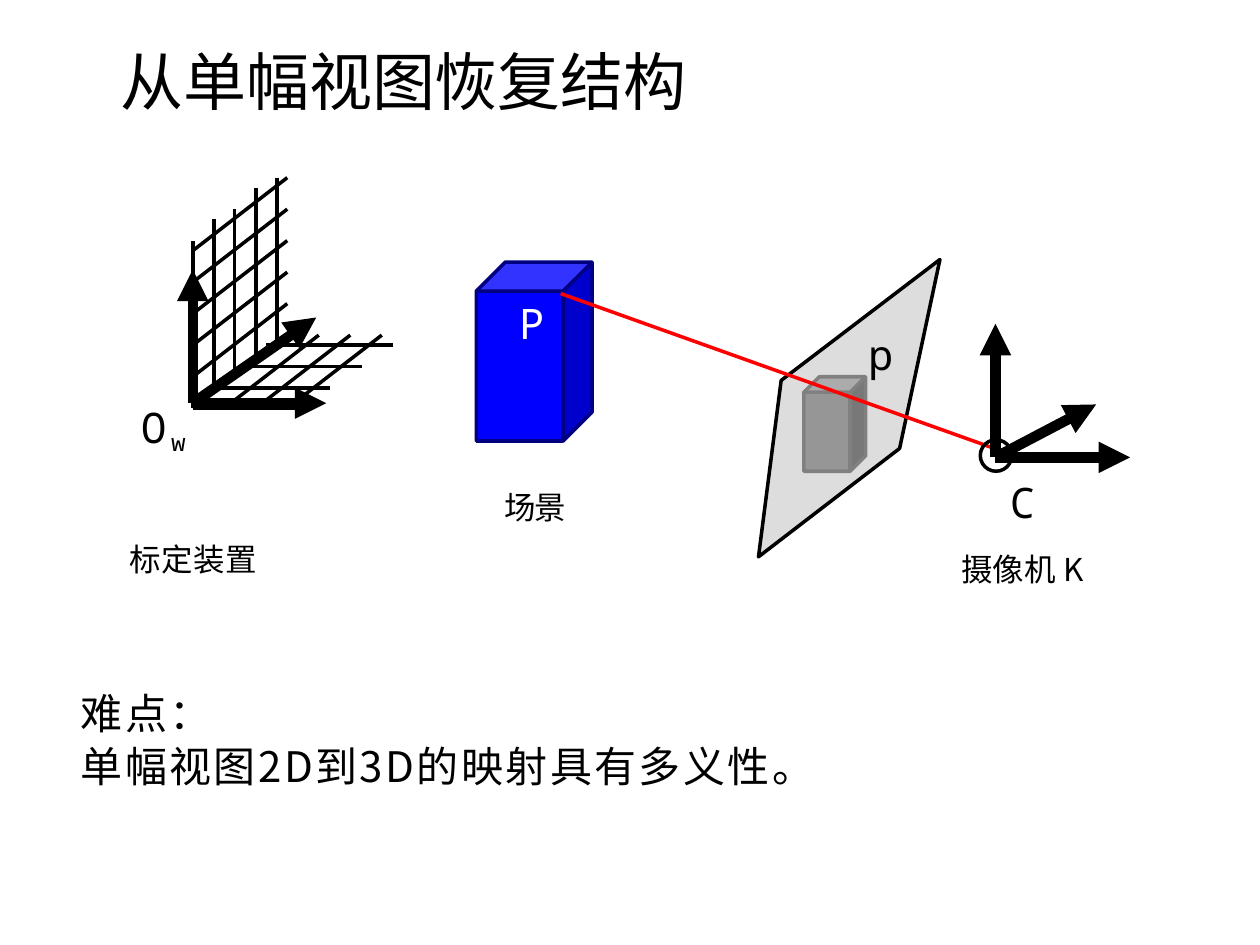
"""Build a slide on recovering structure from a single view."""
from dataclasses import dataclass

import pptx
import pptx.util
import pptx.dml.color
import pptx.enum.shapes
import pptx.enum.text
import pptx.oxml.ns
from lxml import etree

RGBColor = pptx.dml.color.RGBColor
Inches = pptx.util.Inches
Pt = pptx.util.Pt
Align = pptx.enum.text.PP_ALIGN
Shape = pptx.enum.shapes.MSO_SHAPE
qn = pptx.oxml.ns.qn

BLACK = RGBColor(0, 0, 0)
WHITE = RGBColor(255, 255, 255)
RED = RGBColor(255, 0, 0)
BLUE = RGBColor(0, 0, 255)
NAVY = RGBColor(0, 0, 128)
SILVER = RGBColor(192, 192, 192)
GRAY = RGBColor(150, 150, 150)
SLATE = RGBColor(128, 128, 128)
HAN = "Noto Sans CJK SC"
MONO = "Noto Sans Mono"

Point = tuple[float, float]


@dataclass
class Run:
    text: str
    size: float = 24
    face: str = HAN
    color: RGBColor = BLACK
    track: float = 0
    base: int = 0


@dataclass
class Para:
    runs: list[Run]
    align: Align = Align.LEFT
    before: float = 0


@dataclass
class Label:
    box: tuple[float, float, float, float]
    paras: list[Para]
    top: float = 0.01


@dataclass
class Cube:
    box: tuple[float, float, float, float]
    fill: RGBColor
    edge: RGBColor


@dataclass
class Axes:
    start: Point
    ends: list[Point]


TITLE = Label((0.96, 0.33, 7.91, 0.62),
              [Para([Run("从单幅视图恢复结构", 36, track=-0.1)])])
LABELS = [
    Label((0.64, 5.45, 8.72, 0.84), [
        Para([Run("难点：", track=1.4)]),
        Para([Run("单幅视图2D到3D的映射具有多义性。", track=1.4)], before=1)]),
    Label((1.12, 3.18, 0.5, 0.43), [
        Para([Run("O", face=MONO, track=2.8),
              Run("w", face=MONO, track=1.1, base=-19000)])]),
    Label((4.12, 2.35, 0.21, 0.43),
          [Para([Run("P", face=MONO, color=WHITE, track=-3)])]),
    Label((6.89, 2.6, 0.23, 0.43),
          [Para([Run("p", face=MONO, track=1)])]),
    Label((1.03, 3.74, 3.46, 0.85), [
        Para([Run("场景", 18, track=-1)], Align.RIGHT),
        Para([Run("标定装置", 18, track=0.3)], before=8.4)], 0.13),
    Label((7.53, 3.77, 1.17, 0.91), [
        Para([Run("C", face=MONO, track=-0.6)], Align.CENTER),
        Para([Run("摄像机 ", 18, track=0.1), Run("K", 18, track=-0.1)],
             Align.CENTER, 13.5)]),
]
PLANE = [(7.46, 2.06), (6.2, 3.02), (6.02, 4.42), (7.14, 3.56)]
CUBES = [Cube((3.78, 2.08, 0.92, 1.42), BLUE, NAVY),
         Cube((6.38, 2.99, 0.49, 0.75), GRAY, SLATE)]
AXES = [Axes((7.9, 3.63), [(7.9, 2.57), (8.7, 3.21), (8.97, 3.63)]),
        Axes((1.53, 3.2), [(1.53, 2.14), (2.51, 2.52), (2.59, 3.2)])]
POSTS = [(1.53, 1.91), (1.7, 1.74), (1.86, 1.66), (2.03, 1.49), (2.2, 1.41)]
ROWS = [(1.53, 3.24), (1.7, 3.08), (1.95, 2.91), (2.11, 2.74), (2.2, 2.74)]
SLANTS = ([(1.53, 1.99 + 0.25 * i) for i in range(6)]
          + [(1.78 + 0.25 * i, 3.24) for i in range(3)])


def write(shape, label: Label) -> None:
    shape.left, shape.top, shape.width, shape.height = map(Inches, label.box)
    frame = shape.text_frame
    frame.word_wrap = True
    frame.vertical_anchor = pptx.enum.text.MSO_ANCHOR.TOP
    frame.margin_left = frame.margin_right = frame.margin_bottom = 0
    frame.margin_top = Inches(label.top)
    for i, item in enumerate(label.paras):
        para = frame.add_paragraph() if i else frame.paragraphs[0]
        para.alignment = item.align
        para.space_before = Pt(item.before)
        for part in item.runs:
            run = para.add_run()
            run.text = part.text
            font = run.font
            font.size = Pt(part.size)
            font.color.rgb = part.color
            font.name = part.face
            props = run._r.get_or_add_rPr()
            props.set("spc", str(round(part.track * 100)))
            if part.base:
                props.set("baseline", str(part.base))
            etree.SubElement(props, qn("a:ea"), typeface=part.face)


def line(shapes, start: Point, end: Point, color: RGBColor = BLACK,
         width: float = 2, arrow: bool = False) -> None:
    link = shapes.add_connector(pptx.enum.shapes.MSO_CONNECTOR.STRAIGHT,
                                *map(Inches, (*start, *end)))
    link.line.color.rgb = color
    link.line.width = Pt(width)
    if arrow:
        etree.SubElement(link.line._get_or_add_ln(), qn("a:tailEnd"),
                         type="triangle")
    etree.SubElement(link._element.spPr, qn("a:effectLst"))


def paint(shape, fill: RGBColor | None, edge: RGBColor) -> None:
    shape.shadow.inherit = False
    if fill is None:
        shape.fill.background()
    else:
        shape.fill.solid()
        shape.fill.fore_color.rgb = fill
    shape.line.color.rgb = edge
    shape.line.width = Pt(2)


def plane(shapes) -> None:
    spots = [(Inches(x), Inches(y)) for x, y in PLANE]
    pen = shapes.build_freeform(*spots[0], scale=1.0)
    pen.add_line_segments(spots[1:], close=True)
    shape = pen.convert_to_shape()
    paint(shape, SILVER, BLACK)
    tint = shape._element.spPr.find(qn("a:solidFill")).find(qn("a:srgbClr"))
    etree.SubElement(tint, qn("a:alpha"), val="53000")


def main() -> None:
    deck = pptx.Presentation()
    deck.slide_width, deck.slide_height = Inches(10), Inches(7.5)
    slide = deck.slides.add_slide(deck.slide_layouts[5])
    shapes = slide.shapes
    write(shapes.title, TITLE)
    plane(shapes)
    for cube in CUBES:
        shape = shapes.add_shape(Shape.CUBE, *map(Inches, cube.box))
        paint(shape, cube.fill, cube.edge)
    line(shapes, (7.95, 3.58), (4.45, 2.33), RED)
    ring = shapes.add_shape(Shape.OVAL,
                            *map(Inches, (7.78, 3.49, 0.25, 0.25)))
    paint(ring, None, BLACK)
    for x, y in POSTS:
        line(shapes, (x, y), (x, y + 1.33))
    for x, y in SLANTS:
        line(shapes, (x + 0.75, y - 0.58), (x, y))
    for x, y in ROWS:
        line(shapes, (x + 0.92, y), (x, y))
    for axes in AXES:
        for end in axes.ends:
            line(shapes, axes.start, end, width=6, arrow=True)
    for label in LABELS:
        write(shapes.add_textbox(0, 0, 0, 0), label)
    deck.save("out.pptx")


if __name__ == "__main__":
    main()
